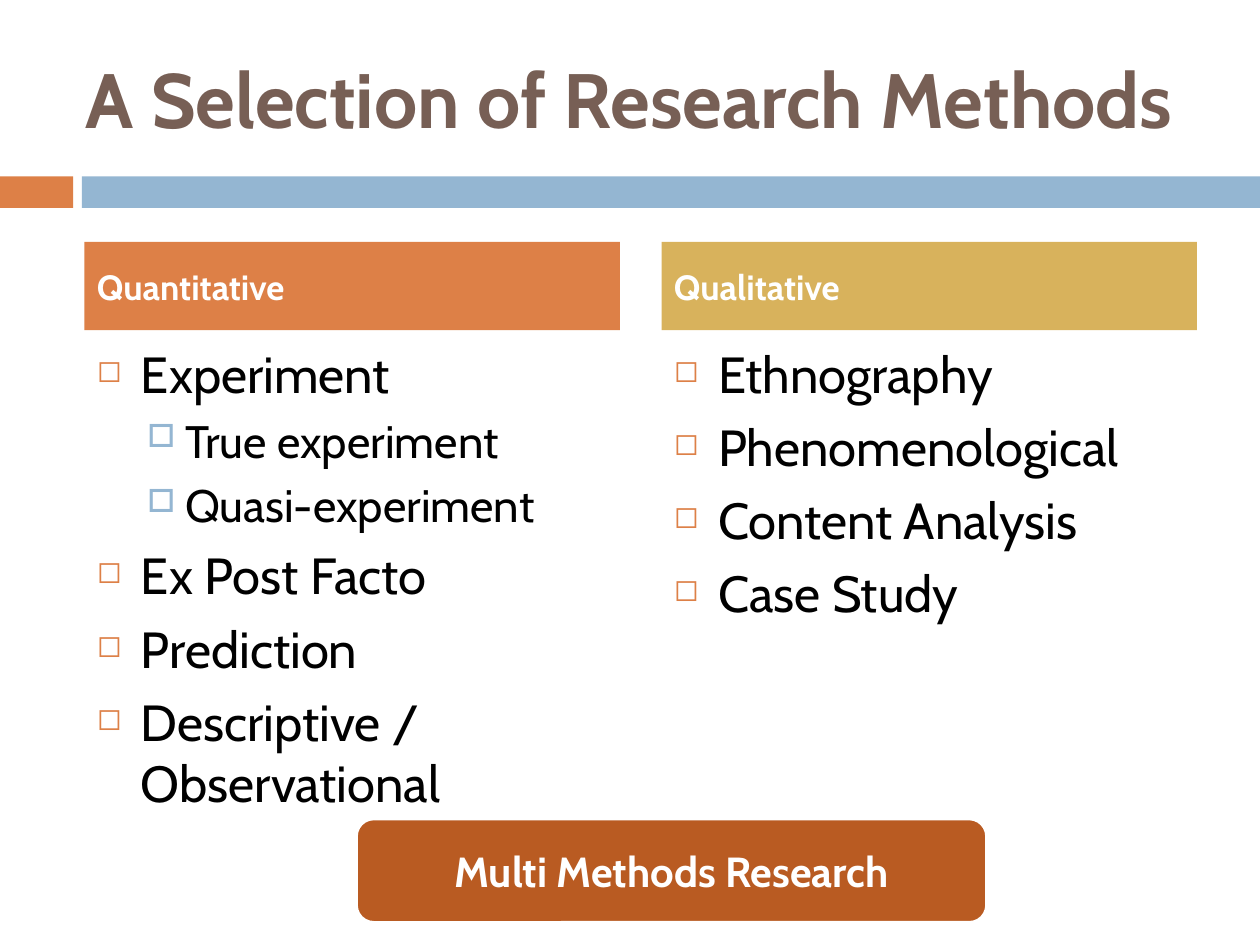
from dataclasses import dataclass

import lxml.etree
import pptx
import pptx.dml.color
import pptx.enum.shapes
import pptx.enum.text
import pptx.oxml.ns
import pptx.util

Inches = pptx.util.Inches
Pt = pptx.util.Pt
Shapes = pptx.enum.shapes.MSO_SHAPE
Align = pptx.enum.text.PP_ALIGN
Anchor = pptx.enum.text.MSO_ANCHOR

FONT = "Cabin"
ORANGE = "DD8047"
BLUE = "94B6D2"
GOLD = "D8B25C"
RUST = "B95B22"
BROWN = "775F55"
WHITE = "FFFFFF"
BLACK = "000000"
COLUMN_WIDTH = 4.25


@dataclass(frozen=True)
class Level:
    indent: float
    hanging: float
    space_before: float
    size: float
    bullet: str
    bullet_color: str
    bullet_percent: int


@dataclass(frozen=True)
class Column:
    left: float
    heading: str
    color: str
    items: list[tuple[int, str]]


LEVELS = [
    Level(0.35, 0.35, 7, 29, "◻", ORANGE, 60),
    Level(0.7, 0.3, 5.5, 26, "□", BLUE, 70),
]

COLUMNS = [
    Column(0.67, "Quantitative", ORANGE, [
        (0, "Experiment"),
        (1, "True experiment"),
        (1, "Quasi-experiment"),
        (0, "Ex Post Facto"),
        (0, "Prediction"),
        (0, "Descriptive / Observational"),
    ]),
    Column(5.25, "Qualitative", GOLD, [
        (0, "Ethnography"),
        (0, "Phenomenological"),
        (0, "Content Analysis"),
        (0, "Case Study"),
    ]),
]


def rgb(color: str) -> pptx.dml.color.RGBColor:
    return pptx.dml.color.RGBColor.from_string(color)


def set_font(paragraph, size: float, color: str, bold: bool = False) -> None:
    font = paragraph.font
    font.name = FONT
    font.size = Pt(size)
    font.bold = bold
    font.color.rgb = rgb(color)


def add_block(slide, kind, left: float, top: float, width: float, height: float, color: str):
    shape = slide.shapes.add_shape(
        kind, Inches(left), Inches(top), Inches(width), Inches(height))
    shape.shadow.inherit = False
    shape.fill.solid()
    shape.fill.fore_color.rgb = rgb(color)
    shape.line.fill.background()
    return shape


def set_label(shape, text: str, size: float, color: str, alignment) -> None:
    frame = shape.text_frame
    frame.word_wrap = True
    frame.auto_size = pptx.enum.text.MSO_AUTO_SIZE.NONE
    frame.vertical_anchor = Anchor.MIDDLE
    paragraph = frame.paragraphs[0]
    paragraph.text = text
    paragraph.alignment = alignment
    set_font(paragraph, size, color, bold=True)


def add_bullet(paragraph, level: Level) -> None:
    qn = pptx.oxml.ns.qn
    properties = paragraph._p.get_or_add_pPr()
    properties.set("marL", str(Inches(level.indent)))
    properties.set("indent", str(-Inches(level.hanging)))
    color = lxml.etree.SubElement(properties, qn("a:buClr"))
    lxml.etree.SubElement(color, qn("a:srgbClr"), val=level.bullet_color)
    lxml.etree.SubElement(properties, qn("a:buSzPct"), val=str(level.bullet_percent * 1000))
    lxml.etree.SubElement(properties, qn("a:buChar"), char=level.bullet)


def add_column(slide, column: Column) -> None:
    box = slide.shapes.add_textbox(
        Inches(column.left), Inches(2.67), Inches(COLUMN_WIDTH), Inches(3.92))
    frame = box.text_frame
    frame.word_wrap = True
    for index, (depth, text) in enumerate(column.items):
        paragraph = frame.add_paragraph() if index else frame.paragraphs[0]
        level = LEVELS[depth]
        paragraph.text = text
        paragraph.level = depth
        add_bullet(paragraph, level)
        if index:
            paragraph.space_before = Pt(level.space_before)
        set_font(paragraph, level.size, BLACK)

    heading = add_block(
        slide, Shapes.RECTANGLE, column.left, 1.92, COLUMN_WIDTH, 0.7, column.color)
    set_label(heading, column.heading, 20, WHITE, Align.LEFT)


def main() -> None:
    presentation = pptx.Presentation()
    presentation.slide_width = Inches(10)
    presentation.slide_height = Inches(7.5)
    slide = presentation.slides.add_slide(presentation.slide_layouts[5])

    add_block(slide, Shapes.RECTANGLE, 0, 1.4, 0.58, 0.25, ORANGE)
    add_block(slide, Shapes.RECTANGLE, 0.65, 1.4, 9.35, 0.25, BLUE)

    title = slide.shapes.title
    title.left, title.top = Inches(0.58), Inches(0.3)
    title.width, title.height = Inches(8.92), Inches(0.95)
    set_label(title, "A Selection of Research Methods", 44, BROWN, Align.LEFT)

    for column in COLUMNS:
        add_column(slide, column)

    banner = add_block(slide, Shapes.ROUNDED_RECTANGLE, 2.83, 6.5, 5, 0.82, RUST)
    banner.line.color.rgb = rgb(WHITE)
    banner.line.width = Pt(1.5)
    set_label(banner, "Multi Methods Research", 24, WHITE, Align.CENTER)

    presentation.save("out.pptx")


if __name__ == "__main__":
    main()
